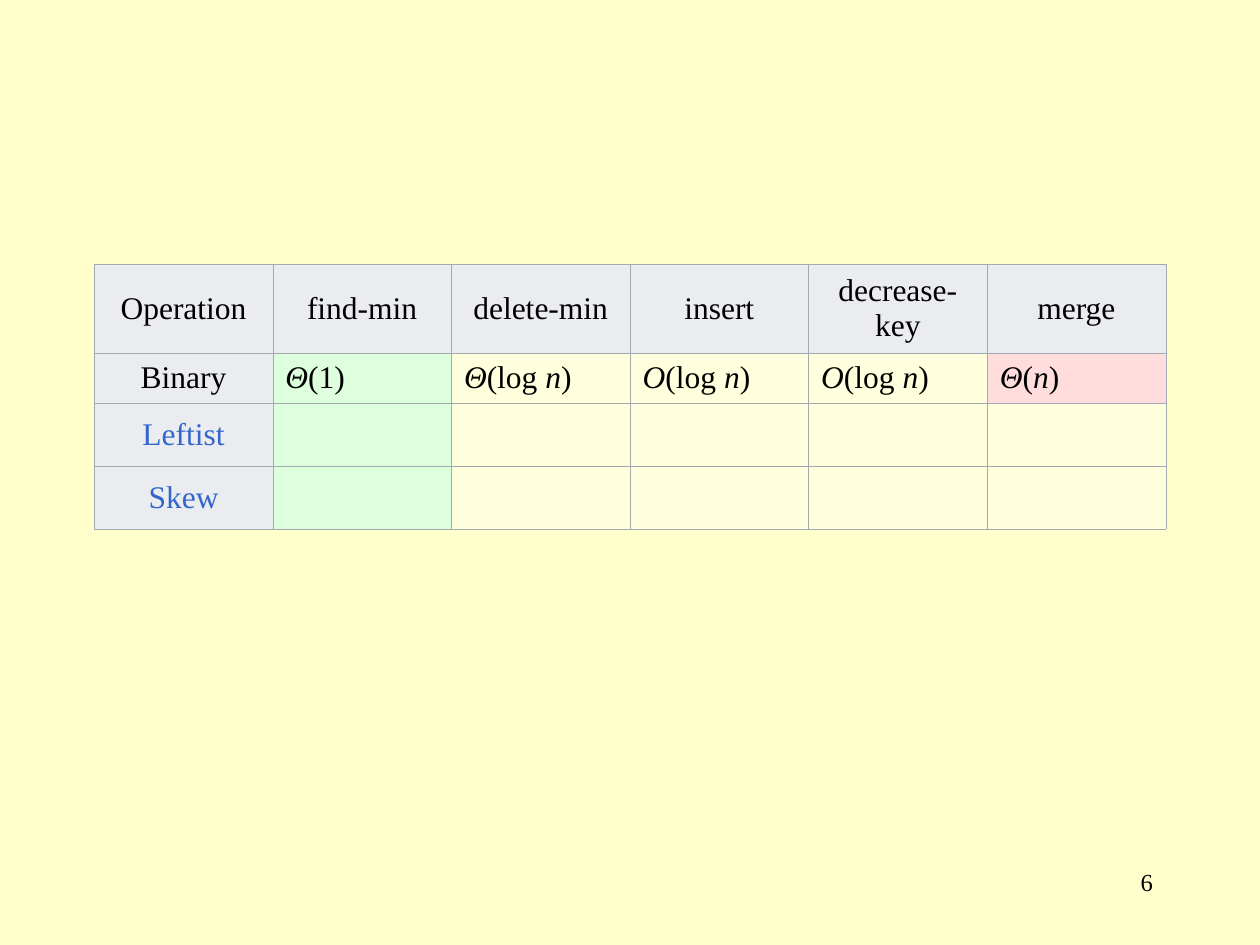
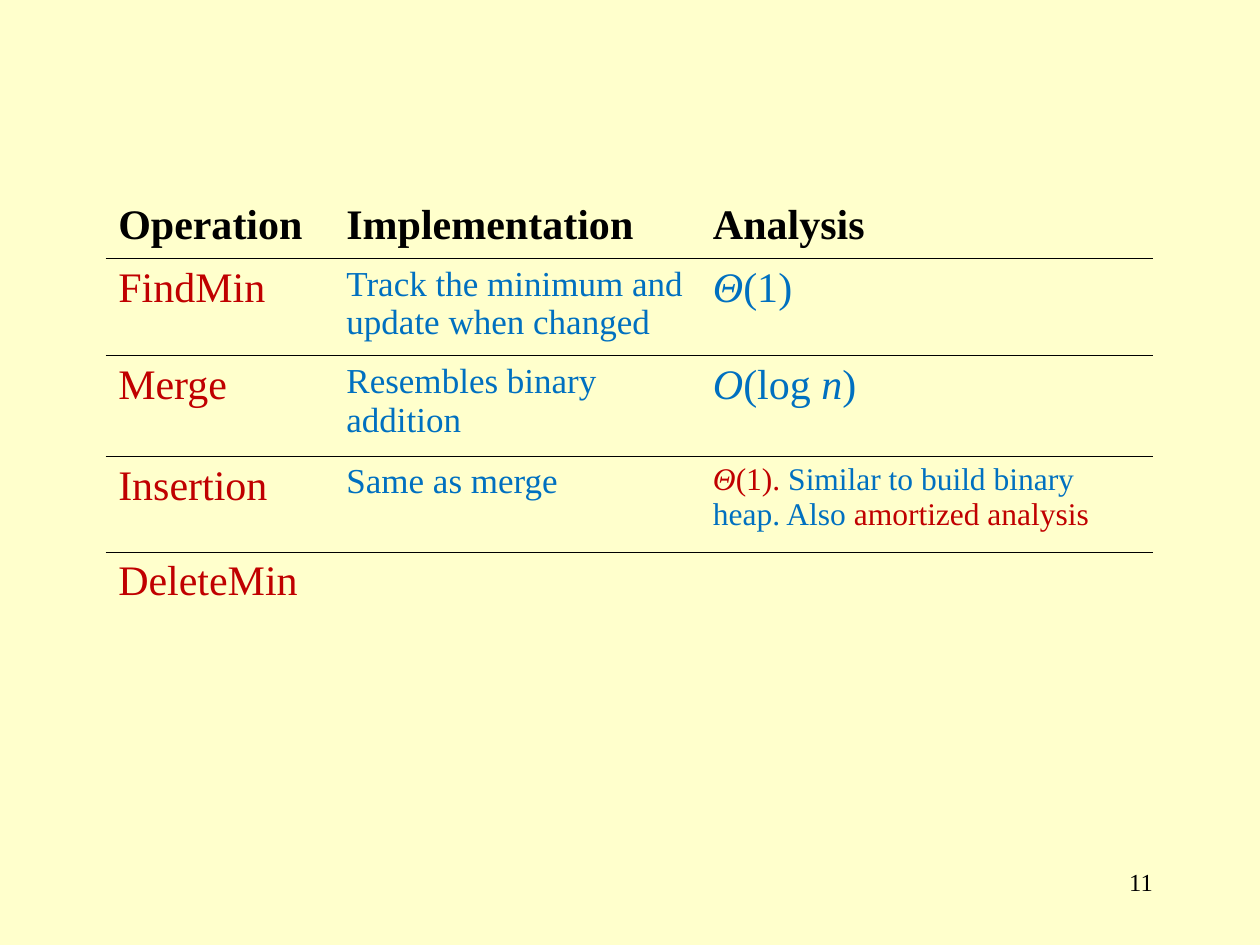
from lxml import etree
from pptx import Presentation
from pptx.dml.color import RGBColor
from pptx.enum import text
from pptx.oxml import ns
from pptx.util import Cm, Pt

FONT = "Times New Roman"
PAGE, BLACK, RED, BLUE, LINK = "FFFFCC", "000000", "C00000", "0070C0", "3366CC"
HEAD, GOOD, FAIR, POOR, GRID = "EAECF0", "DDFFDD", "FFFFDD", "FFDDDD", "A2A9B1"
NO_STYLE = "{2D5ABB26-0587-4C30-8999-92F81FD0307C}"

# Asterisks enclose italic text.
HEAPS = [
    ["Operation", "find-min", "delete-min", "insert", "decrease-key", "merge"],
    ["Binary", "*Θ*(1)", "*Θ*(log *n*)", "*O*(log *n*)", "*O*(log *n*)", "*Θ*(*n*)"],
    ["Leftist", "", "", "", "", ""],
    ["Skew", "", "", "", "", ""],
]
HEAP_COLS, HEAP_ROWS = [3.6] * 6, [1.78, 1.02, 1.27, 1.27]

INSERTION_COST = [("*Θ*(1). ", RED), ("Similar to build binary heap. Also ", BLUE),
                  ("amortized analysis", RED)]
OPERATIONS = [
    ["Operation", "Implementation", "Analysis"],
    ["FindMin", "Track the minimum and update when changed", "*Θ*(1)"],
    ["Merge", "Resembles binary addition", "*O*(log *n*)"],
    ["Insertion", "Same as merge", INSERTION_COST],
    ["DeleteMin", "", ""],
]
OPERATION_COLS, OPERATION_ROWS = [4.6, 7.39, 9.12], [1.27, 1.96, 2.03, 1.93, 2.72]
COLUMN_STYLES = [(24, RED), (20, BLUE), (24, BLUE)]


def rgb(value):
    return RGBColor.from_string(value)


def write(p, content, size, color=BLACK, bold=False, align=text.PP_ALIGN.LEFT):
    p.alignment = align
    p.font.name, p.font.size, p.font.bold = FONT, Pt(size), bold
    if isinstance(content, str):
        p.font.color.rgb = rgb(color)
        content = [(content, None)]
    for words, run_color in content:
        for i, part in enumerate(words.split("*")):
            if part:
                r = p.add_run()
                r.text = part
                if i % 2:
                    r.font.italic = True
                if run_color:
                    r.font.color.rgb = rgb(run_color)


def border(cell, sides, color, width):
    tcPr = cell._tc.get_or_add_tcPr()
    for side in sides:
        ln = etree.SubElement(tcPr, ns.qn("a:ln" + side), w=str(Pt(width)))
        fill = etree.SubElement(ln, ns.qn("a:solidFill"))
        etree.SubElement(fill, ns.qn("a:srgbClr"), val=color)


def add_slide(prs, number):
    slide = prs.slides.add_slide(prs.slide_layouts[6])
    sp = slide.shapes.add_textbox(Cm(18.21), Cm(17.35), Cm(5.28), Cm(1.27))
    sp.text_frame.word_wrap = True
    write(sp.text_frame.paragraphs[0], number, 14, align=text.PP_ALIGN.RIGHT)
    return slide


def add_table(slide, left, top, cols, rows):
    table = slide.shapes.add_table(len(rows), len(cols), Cm(left), Cm(top),
                                   Cm(sum(cols)), Cm(sum(rows))).table
    table.first_row = table.horz_banding = False
    table._tbl.tblPr.find(ns.qn("a:tableStyleId")).text = NO_STYLE
    for column, width in zip(table.columns, cols):
        column.width = Cm(width)
    for row, height in zip(table.rows, rows):
        row.height = Cm(height)
    return table


def heap_fill(row, col):
    if row == 0 or col == 0:
        return HEAD
    if col == 1:
        return GOOD
    return POOR if (row, col) == (1, 5) else FAIR


def build_heaps(prs):
    table = add_table(add_slide(prs, "6"), 1.9, 5.33, HEAP_COLS, HEAP_ROWS)
    for row, values in enumerate(HEAPS):
        for col, value in enumerate(values):
            cell = table.cell(row, col)
            border(cell, "LRTB", GRID, 0.17)
            cell.fill.solid()
            cell.fill.fore_color.rgb = rgb(heap_fill(row, col))
            cell.vertical_anchor = text.MSO_ANCHOR.MIDDLE
            heading = row == 0 or col == 0
            write(cell.text_frame.paragraphs[0], value, 18, LINK if row > 1 else BLACK,
                  align=text.PP_ALIGN.CENTER if heading else text.PP_ALIGN.LEFT)


def build_operations(prs):
    table = add_table(add_slide(prs, "11"), 2.13, 3.94, OPERATION_COLS, OPERATION_ROWS)
    last = len(OPERATIONS) - 1
    for row, values in enumerate(OPERATIONS):
        for col, value in enumerate(values):
            cell = table.cell(row, col)
            border(cell, ("T" if row > 0 else "") + ("B" if row < last else ""), BLACK, 0.45)
            cell.fill.background()
            size, color = COLUMN_STYLES[col] if row else (24, BLACK)
            if value is INSERTION_COST:
                size = 18
            write(cell.text_frame.paragraphs[0], value, size, color, bold=row == 0)


def main():
    prs = Presentation()
    prs.slide_width, prs.slide_height = Cm(25.4), Cm(19.05)
    background = prs.slide_master.background.fill
    background.solid()
    background.fore_color.rgb = rgb(PAGE)
    build_heaps(prs)
    build_operations(prs)
    prs.save("out.pptx")


if __name__ == "__main__":
    main()
